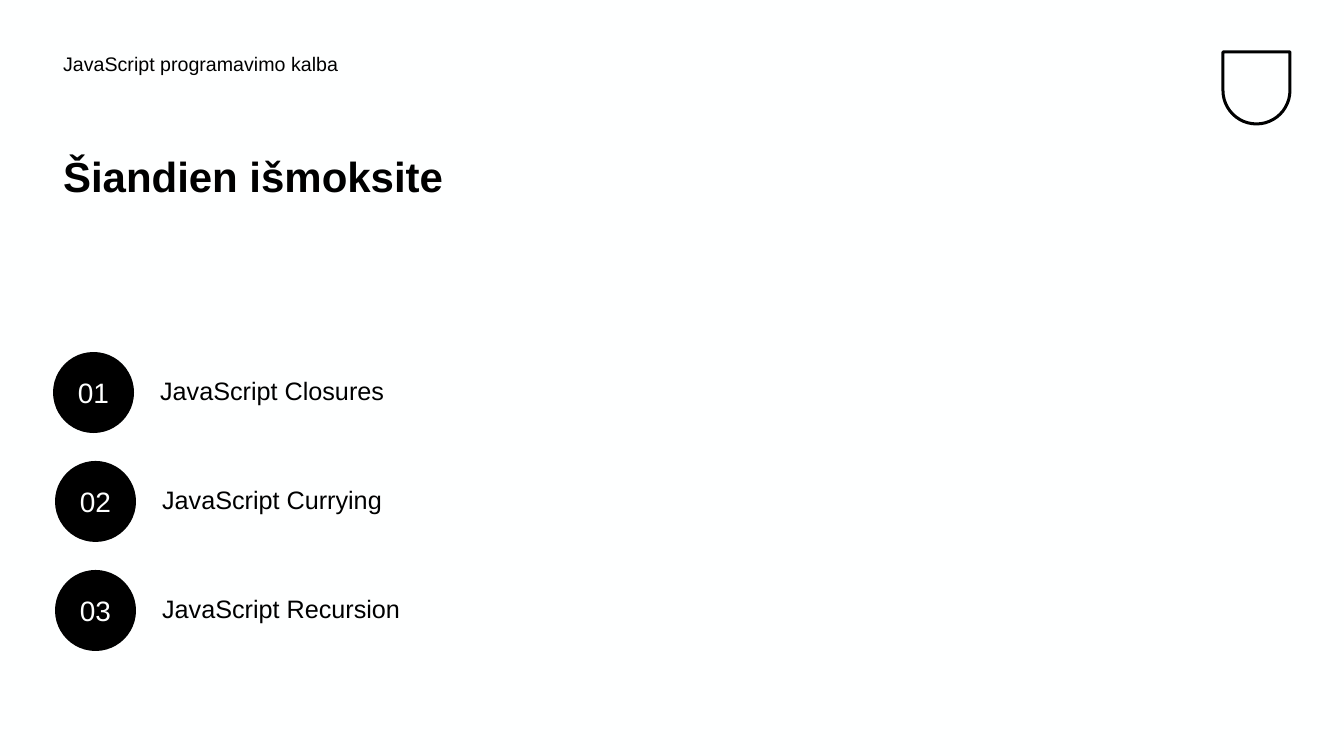
from pptx import Presentation
from pptx.dml.color import RGBColor
from pptx.enum.shapes import MSO_SHAPE as Shape
from pptx.enum.text import MSO_ANCHOR as Anchor, MSO_AUTO_SIZE as AutoSize, PP_ALIGN as Align
from pptx.oxml.ns import qn
from pptx.util import Pt
from lxml.etree import SubElement

EMU_PER_PX = 914400 / 100.8
BLACK, WHITE = "000000", "FEFFFF"


def px(length):
    return round(length * EMU_PER_PX)


def color(hex_string):
    return RGBColor.from_string(hex_string)


class LessonSlide:
    font = "Arial"

    def __init__(self, deck, layout):
        self.slide = deck.slides.add_slide(layout)
        fill = self.slide.background.fill
        fill.solid()
        fill.fore_color.rgb = color(WHITE)

    def add_text(self, frame, text, size, ink, bold=False, align=Align.LEFT,
                 anchor=Anchor.TOP, spacing=1.0):
        frame.word_wrap = True
        frame.auto_size = AutoSize.NONE
        frame.vertical_anchor = anchor
        paragraph = frame.paragraphs[0]
        properties = paragraph._p.get_or_add_pPr()
        properties.set("marL", "0")
        properties.set("indent", "0")
        SubElement(properties, qn("a:buNone"))
        paragraph.alignment = align
        paragraph.line_spacing = spacing
        paragraph.space_before = Pt(0)
        run = paragraph.add_run()
        run.text = text
        run.font.name = self.font
        run.font.size = Pt(size)
        run.font.bold = bold
        run.font.color.rgb = color(ink)

    def placeholder(self, index, box, text, size, **style):
        holder = self.slide.placeholders[index]
        holder.left, holder.top, holder.width, holder.height = map(px, box)
        self.add_text(holder.text_frame, text, size, BLACK, **style)

    def badge(self, left, top, diameter, number):
        circle = self.slide.shapes.add_shape(
            Shape.OVAL, px(left), px(top), px(diameter), px(diameter))
        circle.shadow.inherit = False
        circle.fill.solid()
        circle.fill.fore_color.rgb = color(BLACK)
        circle.line.fill.background()
        self.add_text(circle.text_frame, number, 20, WHITE,
                      align=Align.CENTER, anchor=Anchor.MIDDLE)

    def shield(self, left, top, width, height):
        emblem = self.slide.shapes.add_shape(
            Shape.ROUND_2_SAME_RECTANGLE, px(left), px(top), px(width), px(height))
        emblem.adjustments[0] = 0
        emblem.adjustments[1] = 0.5
        emblem.shadow.inherit = False
        emblem.fill.background()
        emblem.line.color.rgb = color(BLACK)
        emblem.line.width = px(3)


def main():
    deck = Presentation()
    deck.slide_width, deck.slide_height = px(1344), px(756)
    # The comparison layout offers a title and four body placeholders
    lesson = LessonSlide(deck, deck.slide_layouts.get_by_name("Comparison"))

    # Emblem, course name and title
    lesson.shield(1223, 52, 67, 72)
    lesson.placeholder(1, (53, 50, 748, 50), "JavaScript programavimo kalba", 14, spacing=0.9)
    lesson.placeholder(0, (53, 151, 569, 150), "Šiandien išmoksite", 30, bold=True, spacing=0.9)

    # Numbered topics
    topics = [("JavaScript Closures", 53), ("JavaScript Currying", 55),
              ("JavaScript Recursion", 55)]
    for row, (topic, left) in enumerate(topics):
        top = 352 + 109 * row
        lesson.placeholder(row + 2, (left + 97, top + 18, 467, 45), topic, 18)
        lesson.badge(left, top, 81, f"{row + 1:02}")

    deck.save("out.pptx")


if __name__ == "__main__":
    main()
